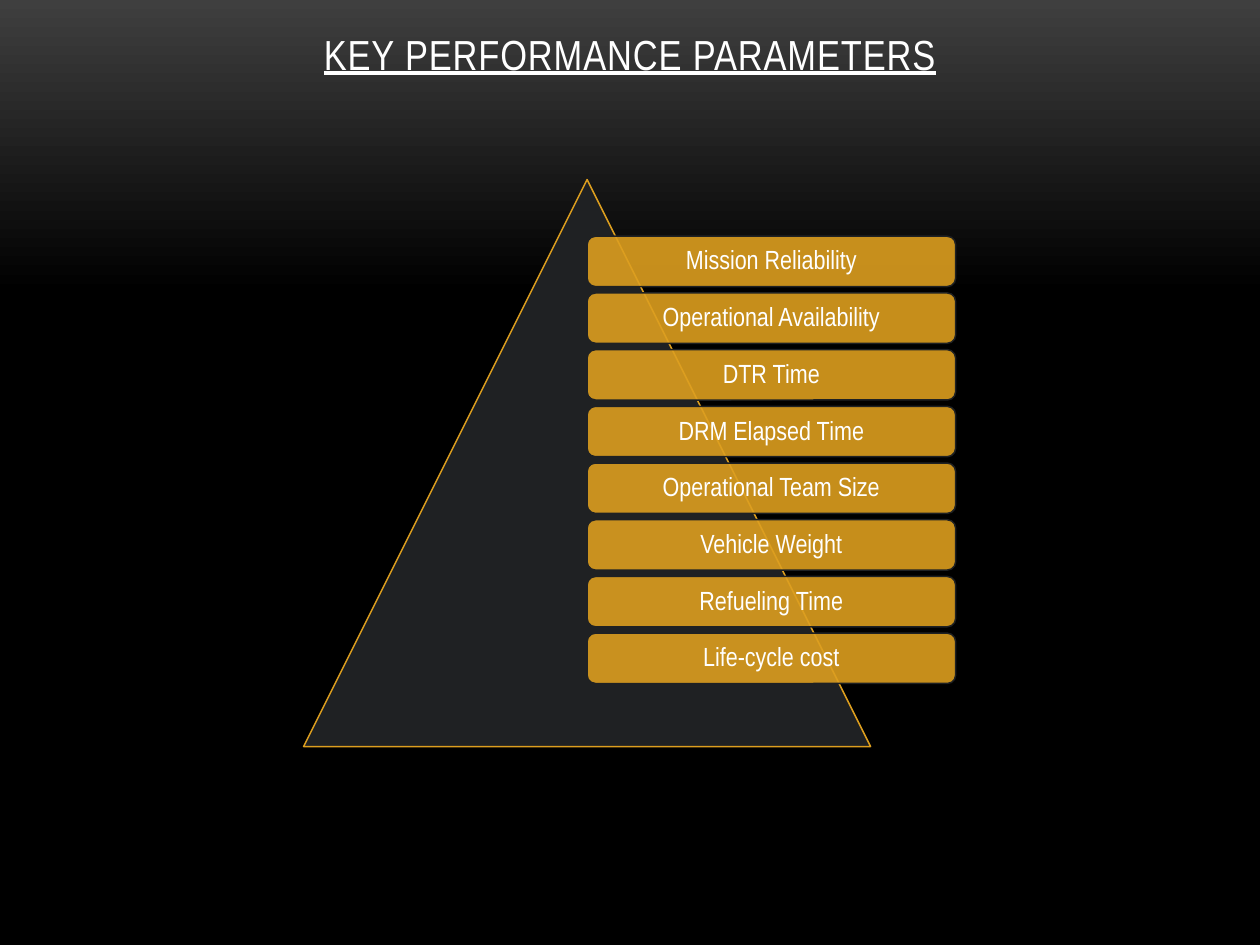
"""Build the key performance parameters slide."""
from copy import deepcopy
from dataclasses import dataclass

from lxml import etree
from pptx import Presentation
from pptx import util as u
from pptx.dml.color import RGBColor
from pptx.enum import shapes, text
from pptx.oxml.ns import qn


@dataclass(frozen=True)
class Theme:
    """Colours, font and sizes used on the slide."""

    glow: str = "3F3F3F"
    night: str = "000000"
    panel: str = "1F2123"
    gold: str = "DC9E1F"
    white: str = "FFFFFF"
    font: str = "Arial Narrow"
    title_size: float = 24
    label_size: float = 15
    line_width: float = 0.85


THEME = Theme()
WIDTH, HEIGHT = u.Inches(10), u.Inches(7.5)
TITLE = "KEY PERFORMANCE PARAMETERS"
PARAMETERS = (
    "Mission Reliability",
    "Operational Availability",
    "DTR Time",
    "DRM Elapsed Time",
    "Operational Team Size",
    "Vehicle Weight",
    "Refueling Time",
    "Life-cycle cost",
)


def write(shape, words, size, anchor, inset, underline=False, spacing=None, line_spacing=1.0):
    """Write one centred, formatted paragraph in a shape."""
    frame = shape.text_frame
    frame.word_wrap = True
    frame.auto_size = text.MSO_AUTO_SIZE.NONE
    frame.vertical_anchor = anchor
    frame.margin_left = frame.margin_right = u.Inches(inset)
    frame.margin_top = frame.margin_bottom = u.Inches(0.05)
    paragraph = frame.paragraphs[0]
    paragraph.alignment = text.PP_ALIGN.CENTER
    paragraph.line_spacing = line_spacing
    paragraph.space_before = u.Pt(0)
    run = paragraph.add_run()
    run.text = words
    run.font.name = THEME.font
    run.font.size = u.Pt(size)
    run.font.underline = underline
    run.font.color.rgb = RGBColor.from_string(THEME.white)
    if spacing is not None:
        run.font._element.set("spc", str(int(spacing * 100)))


def add_panel(group, preset, box, fill, line, opacity=None):
    """Add a flat filled shape, optionally translucent."""
    shape = group.shapes.add_shape(preset, *map(int, box))
    shape.shadow.inherit = False
    shape.fill.solid()
    shape.fill.fore_color.rgb = RGBColor.from_string(fill)
    shape.line.color.rgb = RGBColor.from_string(line)
    shape.line.width = u.Pt(THEME.line_width)
    if opacity is not None:
        colour = shape._element.spPr.find(qn("a:solidFill"))[0]
        etree.SubElement(colour, qn("a:alpha"), val=str(int(opacity * 100000)))
    return shape


def paint_background(slide):
    """Fade the background from grey at the top to black."""
    fill = slide.background.fill
    fill.gradient()
    fill.gradient_angle = 270
    for stop, position, colour in zip(fill.gradient_stops, (0, 0.31), (THEME.glow, THEME.night)):
        stop.position = position
        stop.color.rgb = RGBColor.from_string(colour)
    stops = slide.element.find(".//" + qn("a:gsLst"))
    last = deepcopy(stops[-1])
    last.set("pos", "100000")
    stops.append(last)


def place_title(slide, left, top, width, height):
    """Place and format the title placeholder."""
    title = slide.shapes.title
    title.left, title.top, title.width, title.height = map(int, (left, top, width, height))
    write(title, TITLE, THEME.title_size, text.MSO_ANCHOR.TOP, 0.1, underline=True, spacing=0.5)


def place_pyramid(slide, left, top, side):
    """Draw the triangle with one bar per parameter down its right half."""
    group = slide.shapes.add_group_shape()
    add_panel(group, shapes.MSO_SHAPE.ISOSCELES_TRIANGLE, (left, top, side, side),
              THEME.panel, THEME.gold)
    row = side / (len(PARAMETERS) + 2)
    for index, parameter in enumerate(PARAMETERS, start=1):
        box = (left + side / 2, top + index * row, side * 0.65, row * 8 / 9)
        bar = add_panel(group, shapes.MSO_SHAPE.ROUNDED_RECTANGLE, box,
                        THEME.gold, THEME.panel, opacity=0.9)
        write(bar, parameter, THEME.label_size, text.MSO_ANCHOR.MIDDLE, 0.06, line_spacing=0.9)


def main():
    """Build and save the presentation."""
    presentation = Presentation()
    presentation.slide_width, presentation.slide_height = WIDTH, HEIGHT
    slide = presentation.slides.add_slide(presentation.slide_layouts[5])
    paint_background(slide)
    place_title(slide, WIDTH / 15, HEIGHT * 0.023, WIDTH * 13 / 15, HEIGHT * 0.117)
    place_pyramid(slide, WIDTH * 0.241, HEIGHT * 0.19, HEIGHT * 0.6)
    presentation.save("out.pptx")


if __name__ == "__main__":
    main()
